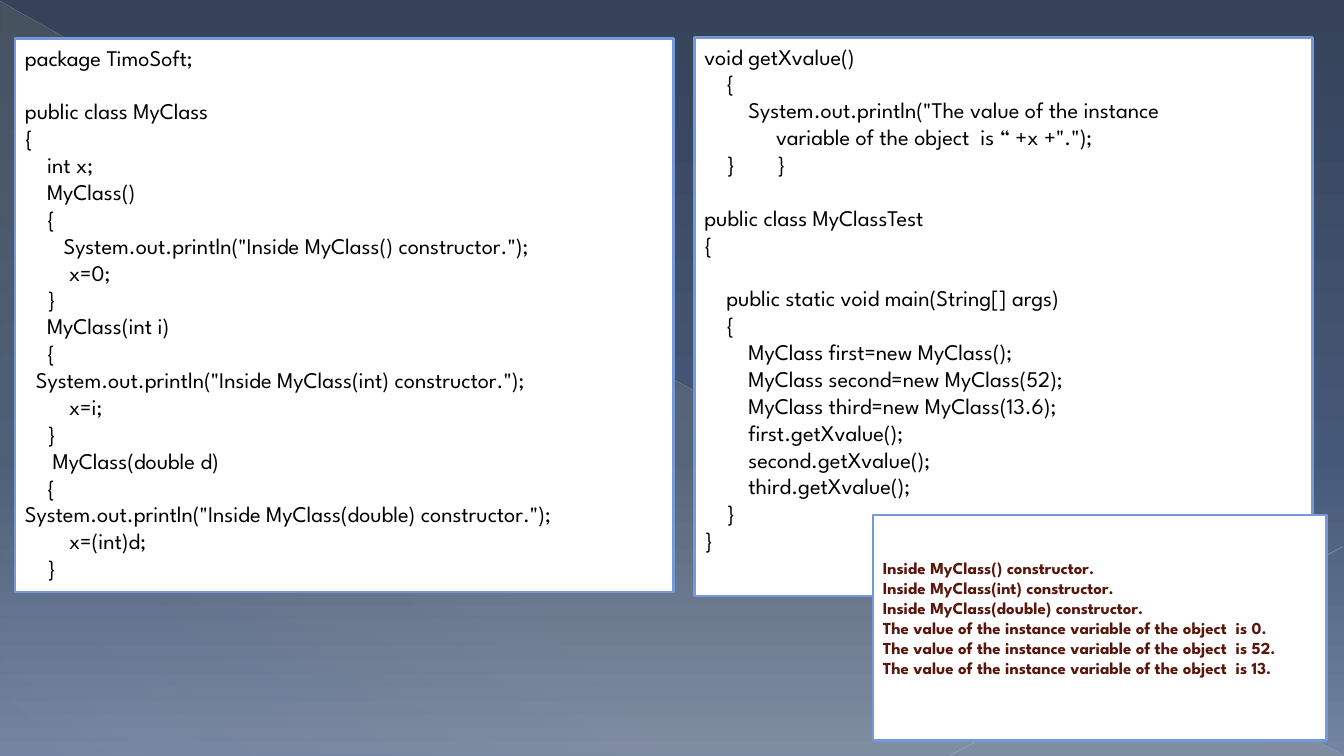
import lxml.etree
import pptx
import pptx.dml.color
import pptx.enum.shapes
import pptx.enum.text
import pptx.oxml.ns
import pptx.util

Cm, Pt = pptx.util.Cm, pptx.util.Pt
qn = pptx.oxml.ns.qn
SHAPE = pptx.enum.shapes.MSO_SHAPE
ANCHOR = pptx.enum.text.MSO_ANCHOR

COLOURS = {
    "night": "35425A", "dusk": "465877", "haze": "7383A2", "glow": "FFF39D",
    "ray": "BABDC4", "short_ray": "C1C4CA", "panel": "FFFFFF",
    "border": "7598D9", "code": "000000", "output": "5A160B",
}
FONT = "League Spartan"
COLUMN = 0.139      # cm per column of code indentation
BRACE_TAB = 1.49    # cm from the text edge to the second closing brace
LINE_PITCH = 1.2    # line height as a multiple of the font size

# Each line is (indent in columns, text); None leaves a line of space
CLASS_CODE = [
    (0, "package TimoSoft;"),
    None,
    (0, "public class MyClass"),
    (0, "{"),
    (4, "int x;"),
    (4, "MyClass()"),
    (4, "{"),
    (7, 'System.out.println("Inside MyClass() constructor.");'),
    (8, "x=0;"),
    (4, "}"),
    (4, "MyClass(int i)"),
    (4, "{"),
    (2, 'System.out.println("Inside MyClass(int) constructor.");'),
    (8, "x=i;"),
    (4, "}"),
    (5, "MyClass(double d)"),
    (4, "{"),
    (0, 'System.out.println("Inside MyClass(double) constructor.");'),
    (8, "x=(int)d;"),
    (4, "}"),
]
TEST_CODE = [
    (0, "void getXvalue()"),
    (4, "{"),
    (8, 'System.out.println("The value of the instance'),
    (13, 'variable of the object  is “ +x +".");'),
    (4, "}\t}"),
    None,
    (0, "public class MyClassTest"),
    (0, "{"),
    None,
    (4, "public static void main(String[] args)"),
    (4, "{"),
    (8, "MyClass first=new MyClass();"),
    (8, "MyClass second=new MyClass(52);"),
    (8, "MyClass third=new MyClass(13.6);"),
    (8, "first.getXvalue();"),
    (8, "second.getXvalue();"),
    (8, "third.getXvalue();"),
    (4, "}"),
    (0, "}"),
]
OUTPUT = [(0, f"Inside MyClass({kind}) constructor.") for kind in ("", "int", "double")]
OUTPUT += [(0, f"The value of the instance variable of the object  is {value}.")
           for value in (0, 52, 13)]


def colour(name):
    return pptx.dml.color.RGBColor.from_string(COLOURS[name])


def set_alpha(colour_element, percent):
    alpha = lxml.etree.SubElement(colour_element, qn("a:alpha"))
    alpha.set("val", str(percent * 1000))


def paint_gradient(fill, owner, stops, angle):
    """Fill with stops of (position, colour name, opacity), all in percent."""
    fill.gradient()
    gradient = next(owner.iter(qn("a:gradFill")))
    stop_list = gradient.find(qn("a:gsLst"))
    for old_stop in list(stop_list):
        stop_list.remove(old_stop)
    for position, name, opacity in stops:
        stop = lxml.etree.SubElement(stop_list, qn("a:gs"), pos=str(position * 1000))
        tint = lxml.etree.SubElement(stop, qn("a:srgbClr"), val=COLOURS[name])
        set_alpha(tint, opacity)
    direction = gradient.find(qn("a:lin"))
    direction.set("ang", str(angle * 60000))
    direction.set("scaled", "0")


def add_ray(page, start, end, name, width, opacity):
    ray = page.shapes.add_connector(
        pptx.enum.shapes.MSO_CONNECTOR.STRAIGHT, *map(Cm, start + end))
    ray.line.color.rgb = colour(name)
    ray.line.width = Pt(width)
    set_alpha(next(ray._element.iter(qn("a:srgbClr"))), opacity)
    lxml.etree.SubElement(ray._element.spPr, qn("a:effectLst"))


def add_backdrop(page, left, top, width, height):
    paint_gradient(page.background.fill, page._element,
                   [(0, "night", 100), (60, "dusk", 100), (100, "haze", 100)], 90)
    # Faint triangle over the lower left half
    glow = page.shapes.add_shape(SHAPE.RIGHT_TRIANGLE, *map(Cm, (left, top, width, height)))
    glow.shadow.inherit = False
    glow.line.fill.background()
    paint_gradient(glow.fill, glow._element,
                   [(0, "glow", 10), (70, "glow", 8), (100, "glow", 1)], 133)
    # Thin rays: the diagonal and the lower right corner
    right, bottom = left + width, top + height
    add_ray(page, (left, top), (right, bottom), "ray", 0.39, 35)
    add_ray(page, (right, top + 13.74), (right - 9.9, bottom), "short_ray", 0.47, 45)


def add_listing(page, box, lines, font_format, frame_format):
    panel = page.shapes.add_shape(SHAPE.RECTANGLE, *map(Cm, box))
    panel.shadow.inherit = False
    panel.fill.solid()
    panel.fill.fore_color.rgb = colour("panel")
    panel.line.color.rgb = colour("border")
    panel.line.width = Pt(2)
    frame = panel.text_frame
    for key, value in frame_format.items():
        setattr(frame, key, value)

    para, gap = frame.paragraphs[0], 0
    for line in lines:
        if line is None:
            gap = font_format["size"] * LINE_PITCH
            continue
        indent, text = line
        if para.runs:
            para = frame.add_paragraph()
        para.alignment = pptx.enum.text.PP_ALIGN.LEFT
        para.space_before, gap = pptx.util.Emu(int(gap)), 0
        properties = para._p.get_or_add_pPr()
        properties.set("marL", str(Cm(indent * COLUMN)))
        properties.set("indent", "0")
        if "\t" in text:
            tabs = lxml.etree.SubElement(properties, qn("a:tabLst"))
            lxml.etree.SubElement(tabs, qn("a:tab"), pos=str(Cm(BRACE_TAB)), algn="l")
        span = para.add_run()
        span.text = text
        for key, value in font_format.items():
            if key == "color":
                span.font.color.rgb = colour(value)
            else:
                setattr(span.font, key, value)


def build_code_slide(deck):
    page = deck.slides.add_slide(deck.slide_layouts[6])
    add_backdrop(page, 0, 0.03, 33.85, 19)
    code_font = {"name": FONT, "size": Pt(16), "bold": False, "color": "code"}
    code_frame = {"word_wrap": True, "vertical_anchor": ANCHOR.TOP}
    # Source code, side by side
    add_listing(page, (0.38, 0.98, 16.59, 13.94), CLASS_CODE, code_font, code_frame)
    add_listing(page, (17.5, 0.95, 15.57, 14.07), TEST_CODE, code_font, code_frame)
    # Program output, over the corner of the test code
    add_listing(page, (22, 12.98, 11.43, 5.69), OUTPUT,
                {"name": FONT, "size": Pt(12), "bold": True, "color": "output"},
                {"word_wrap": False, "vertical_anchor": ANCHOR.MIDDLE,
                 "margin_bottom": Cm(0.64)})


def main():
    deck = pptx.Presentation()
    deck.slide_width, deck.slide_height = Cm(33.87), Cm(19.05)
    build_code_slide(deck)
    deck.save("out.pptx")


if __name__ == "__main__":
    main()
